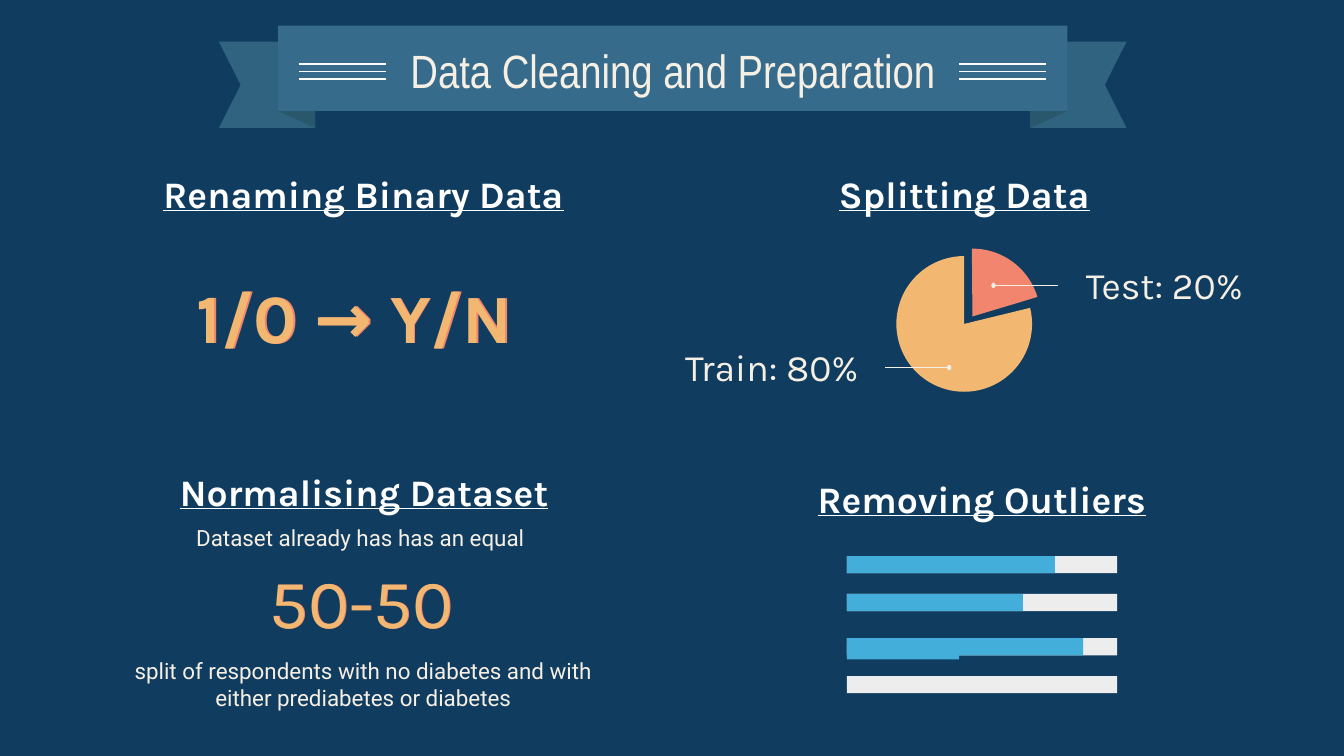
from dataclasses import dataclass

from lxml.etree import SubElement
from pptx import Presentation
from pptx.dml.color import RGBColor
from pptx.enum.shapes import MSO_CONNECTOR, MSO_SHAPE
from pptx.enum.text import MSO_ANCHOR, MSO_AUTO_SIZE, PP_ALIGN
from pptx.oxml.ns import qn
from pptx.util import Pt


@dataclass(frozen=True)
class Theme:
    background: str = "103C60"
    ribbon: str = "376B8C"
    ribbon_tail: str = "30637F"
    ribbon_fold: str = "29586D"
    stripe: str = "FCFCFC"
    heading: str = "FFFFFF"
    cream: str = "F6EFE4"
    coral: str = "F2856D"
    amber: str = "F2B872"
    track: str = "EDEDED"
    bar: str = "43AED9"
    title_font: str = "Arial Narrow"
    main_font: str = "Karla"
    body_font: str = "Roboto"
    title_size: int = 25
    display_size: int = 37
    heading_size: int = 20
    body_size: int = 12


THEME = Theme()
RIBBON_MID = 360.4


def paint(sp, color):
    sp.shadow.inherit = False
    sp.fill.solid()
    sp.fill.fore_color.rgb = RGBColor.from_string(color)
    sp.line.fill.background()


def add_preset(s, kind, x, y, w, h, color):
    sp = s.shapes.add_shape(kind, Pt(x), Pt(y), Pt(w), Pt(h))
    paint(sp, color)
    return sp


def add_polygon(s, points, color):
    start, *rest = [(Pt(x), Pt(y)) for x, y in points]
    builder = s.shapes.build_freeform(*start)
    builder.add_line_segments(rest, close=True)
    paint(builder.convert_to_shape(), color)


def add_line(s, x1, x2, y, color, width):
    line = s.shapes.add_connector(MSO_CONNECTOR.STRAIGHT, Pt(x1), Pt(y), Pt(x2), Pt(y))
    line.line.color.rgb = RGBColor.from_string(color)
    line.line.width = Pt(width)
    SubElement(line.element.spPr, qn("a:effectLst"))


def write(sp, text, font=THEME.main_font, size=THEME.heading_size, color=THEME.cream,
          bold=False, underline=False, align=PP_ALIGN.CENTER):
    tf = sp.text_frame
    tf.word_wrap = True
    tf.auto_size = MSO_AUTO_SIZE.NONE
    tf.vertical_anchor = MSO_ANCHOR.MIDDLE
    tf.margin_left = tf.margin_right = tf.margin_top = tf.margin_bottom = Pt(7.2)
    p = tf.paragraphs[0]
    p.alignment = align
    r = p.add_run()
    r.text = text
    r.font.name = font
    r.font.size = Pt(size)
    r.font.bold = bold
    r.font.underline = underline
    r.font.color.rgb = RGBColor.from_string(color)


def add_text(s, text, x, y, w, h, **style):
    write(s.shapes.add_textbox(Pt(x), Pt(y), Pt(w), Pt(h)), text, **style)


def add_heading(s, text, x, y, w):
    add_text(s, text, x, y, w, 28.8, color=THEME.heading, bold=True, underline=True)


def add_offset_text(s, text, y, back, front, bold=False):
    """Draw display text twice; back and front are (left, width) pairs."""
    for (x, w), color in ((back, THEME.coral), (front, THEME.amber)):
        add_text(s, text, x, y, w, 53.3, size=THEME.display_size, color=color, bold=bold)


def add_ribbon(s):
    def mirror(points):
        return [(2 * RIBBON_MID - x, y) for x, y in points]

    tail = [(117.3, 22.4), (168.8, 22.4), (168.8, 68.6), (117.3, 68.6), (128.9, 45.5)]
    fold = [(149, 59.5), (168.8, 68.6), (168.8, 59.5)]
    for points, color in ((tail, THEME.ribbon_tail), (fold, THEME.ribbon_fold)):
        add_polygon(s, points, color)
        add_polygon(s, mirror(points), color)
    add_preset(s, MSO_SHAPE.RECTANGLE, 149, 13.8, 2 * (RIBBON_MID - 149), 45.7, THEME.ribbon)
    for i in range(3):
        y = 34.4 + 4 * i
        for x1, x2 in ((160.2, 206.8), (514, 560.6)):
            add_line(s, x1, x2, y, THEME.stripe, 0.81)


def add_title(s, text):
    title = s.shapes.title
    title.left, title.top, title.width, title.height = Pt(56.2), Pt(21.8), Pt(608.4), Pt(31.7)
    write(title, text, font=THEME.title_font, size=THEME.title_size)
    title.element.getparent().append(title.element)  # in front of the ribbon


def add_pie(s, x, y, start, end, color):
    """Draw a sector running clockwise between two angles in degrees."""
    sp = add_preset(s, MSO_SHAPE.PIE, x, y, 72.7, 72.7, color)
    for i, angle in enumerate((start, end)):
        sp.adjustments[i] = angle * 0.6


def add_leader(s, dot_x, end_x, y):
    add_preset(s, MSO_SHAPE.OVAL, dot_x - 1.1, y - 1.45, 2.2, 2.9, THEME.cream)
    add_line(s, dot_x, end_x, y, THEME.cream, 0.6)


def add_bars(s):
    x, h = 453.7, 9.2
    tops = (297.9, 318.2, 341.9, 362.2)
    for y in tops:
        add_preset(s, MSO_SHAPE.RECTANGLE, x, y, 144.7, h, THEME.track)
    bars = [*zip(tops, (111.5, 94.3, 126.5)), (344.1, 60.2)]
    for y, w in bars:
        add_preset(s, MSO_SHAPE.RECTANGLE, x, y, w, h, THEME.bar)


def main():
    prs = Presentation()
    prs.slide_width, prs.slide_height = Pt(720), Pt(405)
    s = prs.slides.add_slide(prs.slide_layouts[5])
    s.background.fill.solid()
    s.background.fill.fore_color.rgb = RGBColor.from_string(THEME.background)

    add_ribbon(s)
    add_title(s, "Data Cleaning and Preparation")

    add_heading(s, "Renaming Binary Data", 71.3, 89.3, 247)
    add_offset_text(s, "1/0 → Y/N", 142.6, (80.6, 221), (76.3, 227.5), bold=True)

    add_heading(s, "Normalising Dataset", 64.1, 249, 262)
    body = {"font": THEME.body_font, "size": THEME.body_size}
    add_text(s, "Dataset already has has an equal", 86.6, 269.3, 213, 37.4, **body)
    add_offset_text(s, "50-50", 295.2, (131, 126.7), (130.3, 126.7))
    add_text(s, "split of respondents with no diabetes and with either prediabetes or diabetes",
             54.7, 347.8, 280, 37.4, **body)

    add_heading(s, "Splitting Data", 376.6, 89.3, 280)
    add_text(s, "Test: 20%", 574.6, 133.9, 132.5, 37.4, align=PP_ALIGN.LEFT)
    add_text(s, "Train: 80%", 360, 180.7, 116, 31.7, align=PP_ALIGN.LEFT)
    add_pie(s, 480.2, 137.2, 346.29, 270, THEME.amber)
    add_leader(s, 508.5, 474, 196.9)
    add_pie(s, 484.6, 133.2, 269.53, 343.24, THEME.coral)
    add_leader(s, 532.2, 566.8, 152.9)

    add_heading(s, "Removing Outliers", 402.5, 252.7, 247)
    add_bars(s)
    prs.save("out.pptx")


if __name__ == "__main__":
    main()
